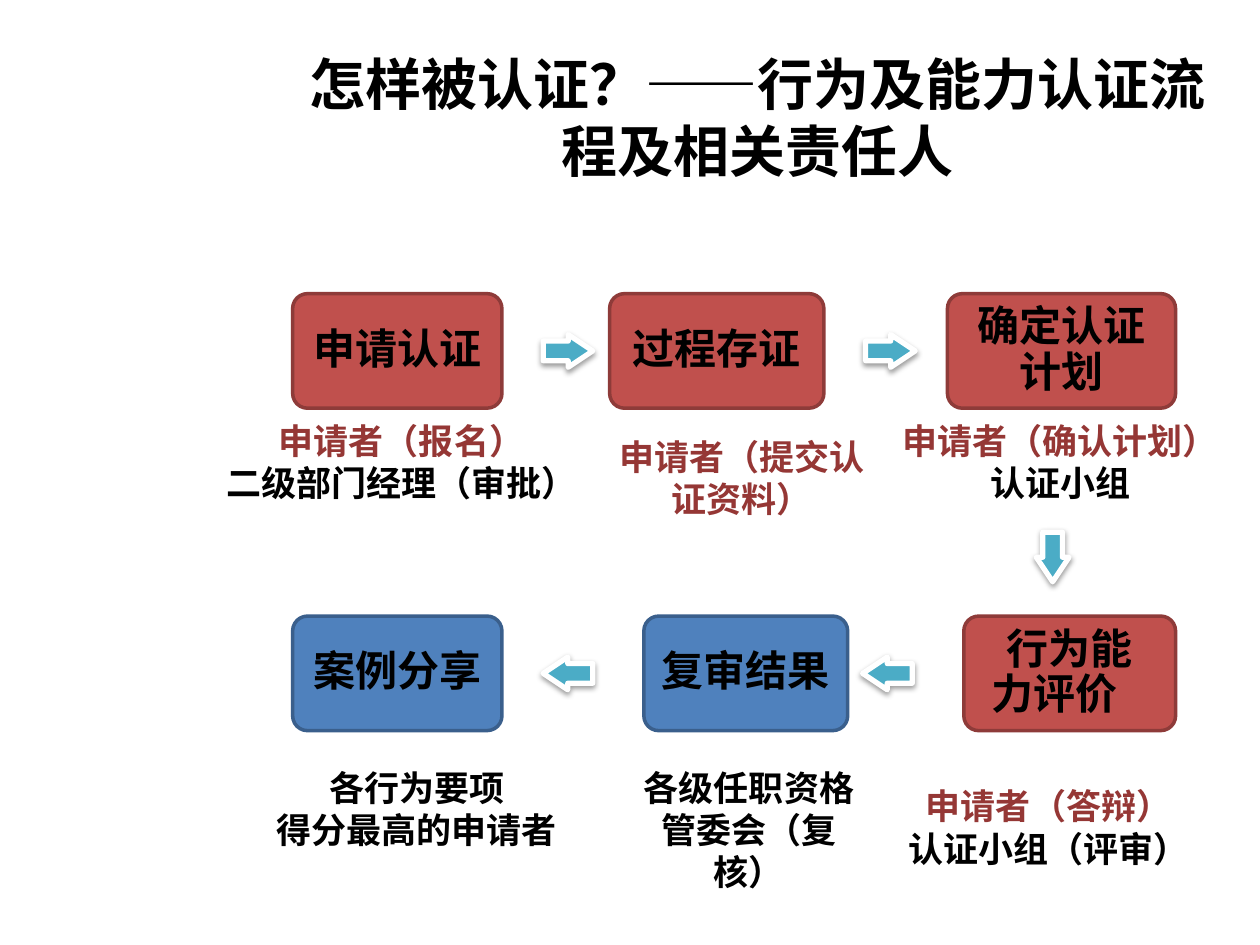
from dataclasses import dataclass

from lxml.etree import SubElement
from pptx import Presentation
from pptx.dml.color import RGBColor
from pptx.enum.shapes import MSO_SHAPE
from pptx.enum.text import MSO_ANCHOR, MSO_AUTO_SIZE, PP_ALIGN
from pptx.oxml.ns import qn
from pptx.util import Cm, Pt


@dataclass(frozen=True)
class Theme:
    font: str = "Noto Sans CJK SC"
    ink: str = "000000"
    applicant: str = "953735"
    red: tuple = ("C0504D", "8E3B39")
    blue: tuple = ("4F81BD", "3A5F8C")
    arrow: tuple = ("4BACC6", "FFFFFF")
    title_size: float = 32
    step_size: float = 24
    note_size: float = 20


THEME = Theme()

# Grid of the flow, in centimetres
STEP_HEIGHT = 2.31
UPPER_ROW, LOWER_ROW = 5.92, 12.42
ARROW_WIDTH, ARROW_HEIGHT = 1, 0.66
NOTE_HEIGHT = 1.96

# Steps: text, left, top, width, colours, shift of the second line
STEPS = [
    ("申请认证", 5.9, UPPER_ROW, 4.22, THEME.red, 0),
    ("过程存证", 12.29, UPPER_ROW, 4.32, THEME.red, 0),
    ("确定认证计划", 19.1, UPPER_ROW, 4.6, THEME.red, 0),
    ("行为能力评价", 19.43, LOWER_ROW, 4.27, THEME.red, 0.6),
    ("复审结果", 12.98, LOWER_ROW, 4.11, THEME.blue, 0),
    ("案例分享", 5.9, LOWER_ROW, 4.22, THEME.blue, 0),
]

# Arrows: centre x, centre y, rotation
UPPER_MIDDLE = UPPER_ROW + STEP_HEIGHT / 2
LOWER_MIDDLE = LOWER_ROW + STEP_HEIGHT / 2
ARROWS = [
    (11.45, UPPER_MIDDLE, 0),
    (17.95, UPPER_MIDDLE, 0),
    (21.22, 11.23, 90),
    (17.89, LOWER_MIDDLE, 180),
    (11.45, LOWER_MIDDLE, 180),
]

# People in charge: lines with colours, left, top, width, wrapping
NOTES = [
    ([("申请者（报名）", THEME.applicant), ("二级部门经理（审批）", THEME.ink)],
     4.27, 8.33, 7.65, False),
    ([("申请者（提交认证资料）", THEME.applicant)], 11.96, 8.66, 5.99, True),
    ([("申请者（确认计划）", THEME.applicant), ("认证小组", THEME.ink)],
     17.91, 8.33, 6.93, False),
    ([("申请者（答辩）", THEME.applicant), ("认证小组（评审）", THEME.ink)],
     18.03, 15.7, 6.22, False),
    ([("各级任职资格管委会（复核）", THEME.ink)], 12.7, 15.32, 4.8, True),
    ([("各行为要项", THEME.ink), ("得分最高的申请者", THEME.ink)],
     4.9, 15.32, 7.01, True),
]


def write(para, text, *, size, color=THEME.ink):
    para.alignment = PP_ALIGN.CENTER
    span = para.add_run()
    span.text = text
    span.font.size = Pt(size)
    span.font.bold = True
    span.font.color.rgb = RGBColor.from_string(color)
    span.font.name = THEME.font
    SubElement(span.font._element, qn("a:ea"), typeface=THEME.font)


def paint(shape, colors, line_width):
    fill, line = colors
    shape.shadow.inherit = False
    shape.fill.solid()
    shape.fill.fore_color.rgb = RGBColor.from_string(fill)
    shape.line.color.rgb = RGBColor.from_string(line)
    shape.line.width = Pt(line_width)


def add_title(page, text):
    box = page.shapes.add_textbox(Cm(5.87), Cm(0.76), Cm(18.82), Cm(3.18))
    box.text_frame.word_wrap = True
    box.text_frame.vertical_anchor = MSO_ANCHOR.MIDDLE
    write(box.text_frame.paragraphs[0], text, size=THEME.title_size)


def add_step(page, text, left, top, width, colors, shift):
    box = page.shapes.add_shape(MSO_SHAPE.ROUNDED_RECTANGLE, Cm(left), Cm(top),
                                Cm(width), Cm(STEP_HEIGHT))
    box.adjustments[0] = 0.13
    paint(box, colors, 2)
    frame = box.text_frame
    frame.word_wrap = True
    frame.vertical_anchor = MSO_ANCHOR.MIDDLE
    frame.margin_left = Cm(0 if shift else 0.17)
    frame.margin_right = Cm(shift or 0.17)
    frame.margin_top = frame.margin_bottom = Cm(0.17)
    para = frame.paragraphs[0]
    para.line_spacing = 0.9
    para.space_after = Pt(8.4)
    write(para, text, size=THEME.step_size)
    if shift:  # first line stays centred, the next one moves left
        para._p.get_or_add_pPr().set("indent", str(Cm(shift)))


def add_arrow(page, center_x, center_y, rotation):
    arrow = page.shapes.add_shape(
        MSO_SHAPE.RIGHT_ARROW, Cm(center_x - ARROW_WIDTH / 2),
        Cm(center_y - ARROW_HEIGHT / 2), Cm(ARROW_WIDTH), Cm(ARROW_HEIGHT))
    arrow.adjustments[0] = 0.6
    arrow.adjustments[1] = 0.75
    arrow.rotation = rotation
    paint(arrow, THEME.arrow, 3)
    # Soft shadow falling straight down
    effects = arrow._element.spPr.find(qn("a:effectLst"))
    shadow = SubElement(effects, qn("a:outerShdw"), blurRad=str(Pt(3.1)),
                        dist=str(Pt(1.6)), dir="5400000", rotWithShape="0")
    color = SubElement(shadow, qn("a:srgbClr"), val=THEME.ink)
    SubElement(color, qn("a:alpha"), val="38000")


def add_note(page, lines, left, top, width, wrap):
    box = page.shapes.add_textbox(Cm(left), Cm(top), Cm(width), Cm(NOTE_HEIGHT))
    frame = box.text_frame
    frame.word_wrap = wrap
    frame.auto_size = MSO_AUTO_SIZE.SHAPE_TO_FIT_TEXT
    for index, (text, color) in enumerate(lines):
        para = frame.add_paragraph() if index else frame.paragraphs[0]
        write(para, text, size=THEME.note_size, color=color)


def main():
    deck = Presentation()
    deck.slide_width, deck.slide_height = Cm(25.4), Cm(19.05)
    page = deck.slides.add_slide(deck.slide_layouts[6])

    add_title(page, "怎样被认证？——行为及能力认证流程及相关责任人")
    for note in NOTES:
        add_note(page, *note)
    for step in STEPS:
        add_step(page, *step)
    for arrow in ARROWS:
        add_arrow(page, *arrow)

    deck.save("out.pptx")


if __name__ == "__main__":
    main()
